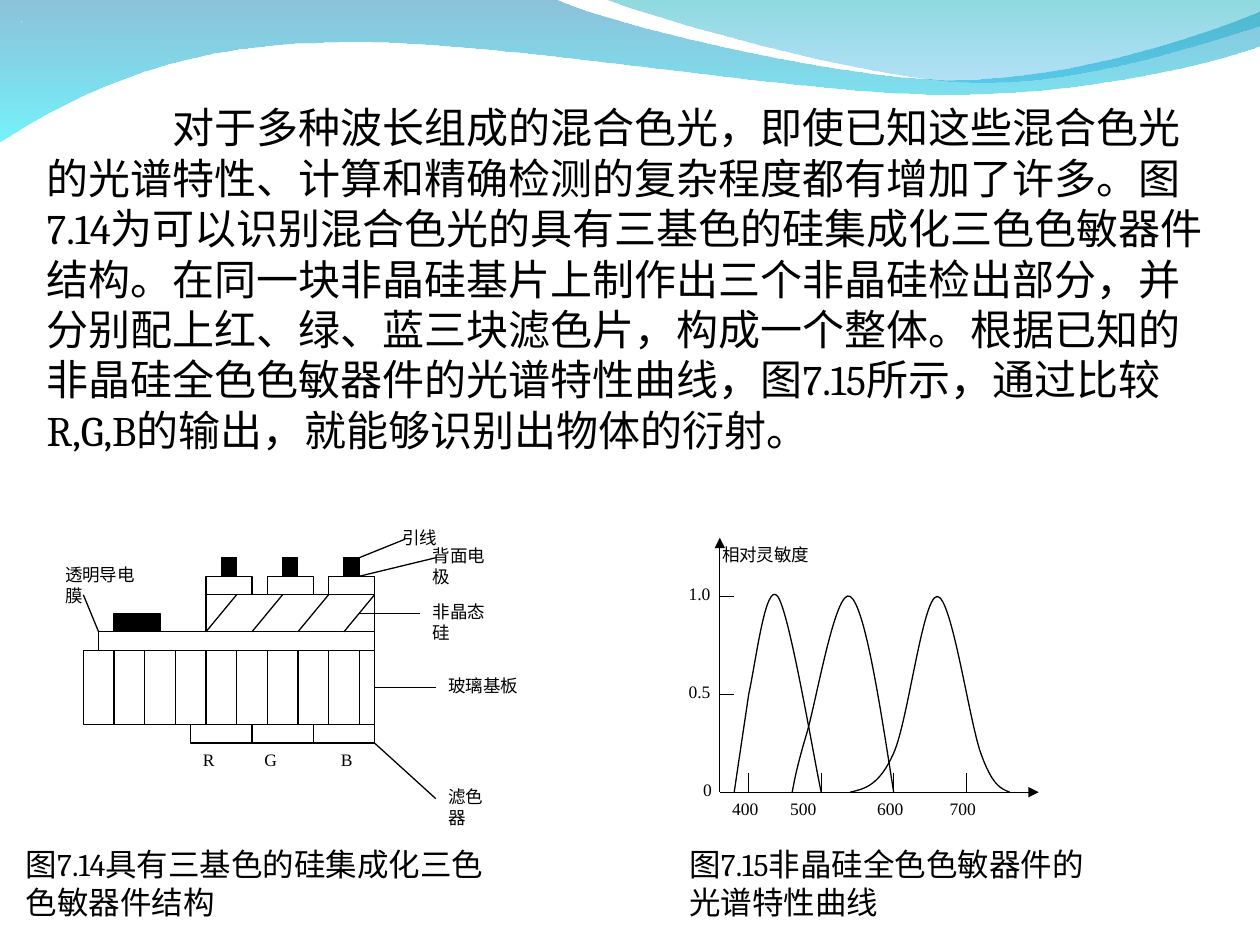
from dataclasses import dataclass
from itertools import chain

from lxml.etree import SubElement
from pptx import Presentation
from pptx.dml.color import RGBColor
from pptx.enum.shapes import MSO_CONNECTOR as Connector, MSO_SHAPE as Shape
from pptx.oxml.ns import qn
from pptx.util import Cm, Pt

COLOURS = {
    "black": "000000", "white": "FFFFFF", "dot": "0F6FC6",
    "deep_blue": "0079AF", "cyan": "00EBF8", "teal": "00ADB6", "sky": "009BE5",
}
BODY_FONT = "Cambria"
LABEL_FONT = "Times New Roman"

BODY = ("对于多种波长组成的混合色光，即使已知这些混合色光的光谱特性、计算和精确检测的复杂程度都有增加了许多。"
        "图7.14为可以识别混合色光的具有三基色的硅集成化三色色敏器件结构。"
        "在同一块非晶硅基片上制作出三个非晶硅检出部分，并分别配上红、绿、蓝三块滤色片，构成一个整体。"
        "根据已知的非晶硅全色色敏器件的光谱特性曲线，图7.15所示，通过比较R,G,B的输出，就能够识别出物体的衍射。")

LEFT_WAVE = [
    [(0, -0.03)], [(11.18, -0.03)],
    [(12.09, 0.43), (16.87, 1.6), (19.25, 1.6)],
    [(21.67, 1.6), (24.33, 0.66), (25.4, 0.23)],
    [(25.43, 0.91)],
    [(24.97, 1.12), (22.1, 1.93), (18.95, 1.9)],
    [(15.8, 1.9), (9.7, 0.71), (6.53, 0.86)],
    [(3.28, 0.89), (1.17, 2.11), (-0.03, 2.87)],
]
RIGHT_WAVE = [
    [(12.17, -0.03)],
    [(12.93, 0.28), (17.32, 1.57), (19.53, 1.65)],
    [(21.74, 1.75), (24.41, 0.81), (25.4, 0.53)],
    [(25.4, 0)],
]
SENSITIVITY_CURVES = [
    [[(1, 0)], [(1.33, 1.67), (1.67, 3.33), (2, 5)],
     [(2.5, 6.67), (3.17, 10.83), (4, 10)],
     [(4.83, 9.17), (6.5, 1.67), (7, 0)]],
    [[(5, 0)], [(5.17, 0.67), (5.33, 1.33), (6, 3)],
     [(6.67, 4.67), (8, 10.5), (9, 10)],
     [(10, 9.5), (11, 4.75), (12, 0)]],
    [[(9, 0)], [(10, 0.17), (11, 0.33), (12, 2)],
     [(13, 3.67), (14, 10), (15, 10)],
     [(16, 10), (17.2, 3.67), (18, 2)],
     [(18.8, 0.33), (19.4, 0.17), (20, 0)]],
]


@dataclass
class Grid:
    left: float
    top: float
    column: float
    row: float

    def point(self, x, y):
        return Cm(self.left + x * self.column), Cm(self.top + y * self.row)

    def box(self, x, y, width, height):
        return (*self.point(x, y), Cm(width * self.column), Cm(height * abs(self.row)))


PAGE = Grid(0, 0, 1, 1)
DEVICE = Grid(1.68, 10.87, 5.87 / 19, 5.23 / 14)
PLOT = Grid(14.51, 15.97, 6.43 / 22, -5.13 / 13)


def colour(name):
    return RGBColor.from_string(COLOURS[name])


def add_text(shapes, box, text, size, font, wrap=True, indent=0):
    frame = shapes.add_textbox(*box).text_frame
    frame.word_wrap = wrap
    paragraph = frame.paragraphs[0]
    paragraph.text = text
    paragraph.font.size = Pt(size)
    paragraph.font.name = font
    paragraph.font.color.rgb = colour("black")
    if indent:
        paragraph._p.get_or_add_pPr().set("indent", str(Cm(indent)))


def add_label(shapes, box, text, wrap=True):
    add_text(shapes, box, text, 10, LABEL_FONT, wrap)


def add_rectangle(shapes, box, fill="white", line="black"):
    shape = shapes.add_shape(Shape.RECTANGLE, *box)
    shape.shadow.inherit = False
    shape.fill.solid()
    shape.fill.fore_color.rgb = colour(fill)
    shape.line.color.rgb = colour(line)
    shape.line.width = Pt(0.75)
    return shape


def add_line(shapes, grid, start, end, arrow=False):
    connector = shapes.add_connector(Connector.STRAIGHT, *grid.point(*start), *grid.point(*end))
    connector.line.color.rgb = colour("black")
    connector.line.width = Pt(0.75)
    if arrow:
        SubElement(connector.line._get_or_add_ln(), qn("a:tailEnd"), type="triangle")
    SubElement(connector._element.spPr, qn("a:effectLst"))
    return connector


def bend_segments(shape, segments):
    steps = iter(list(shape._element.spPr.iter(qn("a:lnTo"))))
    for segment in segments[1:]:
        first, *others = [next(steps) for _ in segment]
        if others:
            first.tag = qn("a:cubicBezTo")
            for step in others:
                first.append(step[0])
                step.getparent().remove(step)


def add_outline(shapes, grid, segments, close=False):
    places = [grid.point(*point) for point in chain.from_iterable(segments)]
    builder = shapes.build_freeform(*places[0])
    builder.add_line_segments(places[1:], close=close)
    shape = builder.convert_to_shape()
    shape.shadow.inherit = False
    bend_segments(shape, segments)
    return shape


def add_wave(shapes, segments, stops):
    shape = add_outline(shapes, PAGE, segments, close=True)
    shape.line.fill.background()
    shape.fill.gradient()
    shape.fill.gradient_angle = 270
    for stop, position, (name, _) in zip(shape.fill.gradient_stops, (0, 1), stops):
        stop.position = position
        stop.color.rgb = colour(name)
    for element, (_, opacity) in zip(shape._element.spPr.iter(qn("a:srgbClr")), stops):
        SubElement(element, qn("a:alpha"), val=str(opacity * 1000))


def add_device(shapes):
    add_rectangle(shapes, DEVICE.box(8, 3, 11, 2))
    add_rectangle(shapes, DEVICE.box(1, 5, 18, 1))
    glass = add_rectangle(shapes, DEVICE.box(0, 6, 19, 4))
    add_rectangle(shapes, DEVICE.box(2, 4, 3, 1), "black")
    for x in (8, 12, 16):
        add_rectangle(shapes, DEVICE.box(x, 2, 3, 1))
        add_rectangle(shapes, DEVICE.box(x + 1, 1, 1, 1), "black")
    add_rectangle(shapes, DEVICE.box(7, 10, 12, 1))
    for x in (11, 15):
        add_line(shapes, DEVICE, (x, 10), (x, 11))
    for x, text in ((7, "R"), (11, "G"), (16, "B")):
        add_label(shapes, DEVICE.box(x, 11, 2, 2), text)
    for x in (8, 11, 14, 17):
        add_line(shapes, DEVICE, (x, 5), (x + 2, 3))
    for x in range(2, 19, 2):
        add_line(shapes, DEVICE, (x, 6), (x, 10))
    for x, y, width, text in (
        (20, -1, 5, "引线"), (22, 0, 6, "背面电极"), (22, 3, 6, "非晶态硅"),
        (-2, 1, 7, "透明导电膜"), (23, 7, 8, "玻璃基板"), (23, 13, 5, "滤色器"),
    ):
        add_label(shapes, DEVICE.box(x, y, width, 2), text)
    for start, end in (
        ((18, 1), (21, 0)), ((18, 2), (23, 1)), ((18, 4), (22, 4)),
        ((0, 3), (1, 5)), ((19, 11), (23, 14)),
    ):
        add_line(shapes, DEVICE, start, end)
    add_line(shapes, DEVICE, (19, 8), (23, 8)).begin_connect(glass, 3)


def add_plot(shapes):
    add_line(shapes, PLOT, (0, 0), (0, 13), arrow=True)
    add_line(shapes, PLOT, (0, 0), (22, 0), arrow=True)
    add_line(shapes, PLOT, (2, 0), (2, 0))
    for x in (2, 7, 12, 17):
        add_line(shapes, PLOT, (x, 1), (x, 0))
    for y in (5, 10):
        add_line(shapes, PLOT, (0, y), (1, y))
    for x, y, text in ((-2, 1, "0"), (-3, 6, "0.5"), (-3, 11, "1.0")):
        add_label(shapes, PLOT.box(x, y, 4, 3), text)
    for x, text in ((0, "400"), (4, "500"), (10, "600"), (15, "700")):
        add_label(shapes, PLOT.box(x, 0, 4, 2), text)
    add_label(shapes, PLOT.box(-0.7, 13, 7.75, 1.75), "相对灵敏度", wrap=False)
    for segments in SENSITIVITY_CURVES:
        curve = add_outline(shapes, PLOT, segments)
        curve.fill.background()
        curve.line.color.rgb = colour("black")
        curve.line.width = Pt(0.75)


def main():
    presentation = Presentation()
    presentation.slide_width, presentation.slide_height = Cm(25.4), Cm(19.05)
    slide = presentation.slides.add_slide(presentation.slide_layouts[6])
    shapes = slide.shapes
    add_wave(shapes, LEFT_WAVE, (("deep_blue", 45), ("cyan", 55)))
    add_wave(shapes, RIGHT_WAVE, (("teal", 45), ("sky", 30)))
    add_text(shapes, PAGE.box(0.69, 1.93, 24.1, 8.38), BODY, 24, BODY_FONT, indent=2.54)
    add_device(shapes.add_group_shape().shapes)
    add_plot(shapes.add_group_shape().shapes)
    add_rectangle(shapes, PAGE.box(0.43, 0.43, 0, 0), "dot", "white")
    for left, width, text in (
        (0.27, 10.24, "图7.14具有三基色的硅集成化三色色敏器件结构"),
        (13.65, 8.74, "图7.15非晶硅全色色敏器件的光谱特性曲线"),
    ):
        add_text(shapes, PAGE.box(left, 16.92, width, 1.78), text, 18, BODY_FONT)
    presentation.save("out.pptx")


if __name__ == "__main__":
    main()
